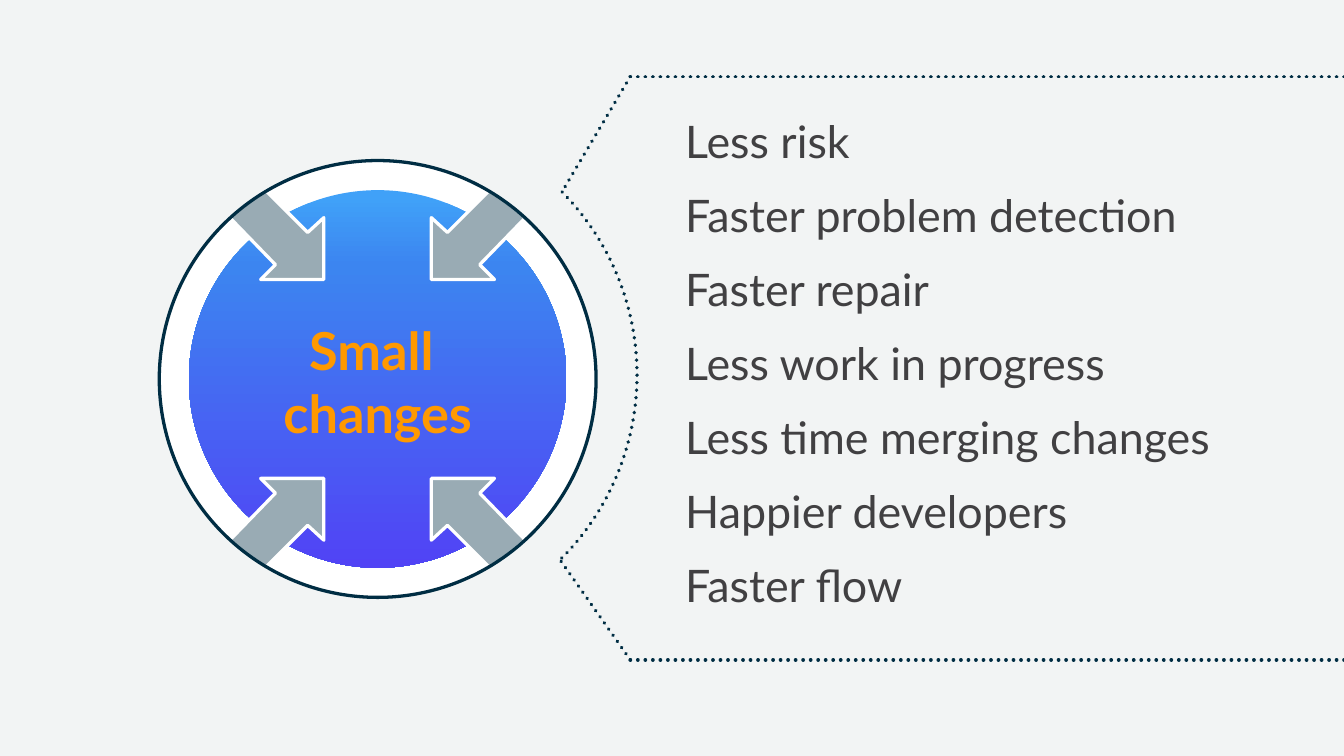
from copy import deepcopy
from math import cos, pi, sin

from pptx import Presentation
from pptx.dml.color import RGBColor
from pptx.enum.dml import MSO_LINE_DASH_STYLE as Dash
from pptx.enum.shapes import MSO_CONNECTOR as Connector, MSO_SHAPE as Shape
from pptx.enum.text import PP_ALIGN as Align
from pptx.oxml.ns import qn
from pptx.util import Inches, Pt

CORE_LABEL = "Small \vchanges"
BENEFITS = [
    "Less risk",
    "Faster problem detection",
    "Faster repair",
    "Less work in progress",
    "Less time merging changes",
    "Happier developers",
    "Faster flow",
]
COLORS = {
    "background": "F2F4F4", "white": "FFFFFF", "navy": "002D43",
    "arrow": "99ABB4", "label": "FF9900", "text": "414042",
}
CORE_GRADIENT = [(0.02, "40A1F8"), (0.2, "3C85F0"), (1, "5143F5")]
FONT = "Lato"

WIDTH = 10
HEIGHT = WIDTH * 9 / 16
CENTER_X, CENTER_Y = 2.81, 2.82
RING_SIZE, CORE_SIZE = 3.25, 2.81
ARC_CENTER_X, ARC_CENTER_Y, ARC_SIZE = 2.8, 2.79, 3.88
ARC_ANGLES = (189.28, 27.16)
ARROW_OUTLINE = [
    (-0.83, -1.4), (-0.52, -1.09), (-0.4, -1.2), (-0.4, -0.74), (-0.87, -0.74),
    (-0.76, -0.85), (-1.1, -1.2), (-1.04, -1.25), (-0.98, -1.3), (-0.91, -1.35),
]
MIRRORS = [(1, 1), (-1, 1), (1, -1), (-1, -1)]
MASK = [(0, 0.11), (5.47, 0.11), (5.47, 5.06), (0, 5.06)]
BRACKET_X, BRACKET_END = 4.69, 10.29
BRACKET_TOP, BRACKET_BOTTOM = 0.57, 4.91
BRACKET_LINES = [
    ((BRACKET_X, BRACKET_TOP), (BRACKET_END, BRACKET_TOP)),
    ((BRACKET_X, BRACKET_BOTTOM), (BRACKET_END, BRACKET_BOTTOM)),
    ((BRACKET_X, BRACKET_BOTTOM), (4.17, 4.17)),
    ((BRACKET_X, BRACKET_TOP), (4.18, 1.43)),
]


def rgb(name):
    return RGBColor.from_string(COLORS[name])


def paint(shape, fill=None, line=None, weight=1.75):
    shape.shadow.inherit = False
    if fill:
        shape.fill.solid()
        shape.fill.fore_color.rgb = rgb(fill)
    else:
        shape.fill.background()
    if line:
        shape.line.color.rgb = rgb(line)
        shape.line.width = Pt(weight)
    else:
        shape.line.fill.background()


def dot(shape):
    shape.line.color.rgb = rgb("navy")
    shape.line.width = Pt(2)
    shape.line.dash_style = Dash.ROUND_DOT
    shape._element.spPr.find(qn("a:ln")).set("cap", "rnd")


def add_round(kind, x, y, size):
    return shapes.add_shape(kind, Inches(x - size / 2), Inches(y - size / 2),
                            Inches(size), Inches(size))


def add_outline(*contours):
    scaled = [[(Inches(x), Inches(y)) for x, y in contour] for contour in contours]
    builder = shapes.build_freeform(*scaled[0][0])
    builder.add_line_segments(scaled[0][1:], close=True)
    for contour in scaled[1:]:
        builder.move_to(*contour[0])
        builder.add_line_segments(contour[1:], close=True)
    return builder.convert_to_shape()


def add_text(x, y, width, height):
    frame = shapes.add_textbox(Inches(x), Inches(y), Inches(width), Inches(height)).text_frame
    frame.word_wrap = True
    return frame


def style_runs(paragraph, size, color, bold=False):
    for run in paragraph.runs:
        run.font.name = FONT
        run.font.size = Pt(size)
        run.font.bold = bold
        run.font.color.rgb = rgb(color)


deck = Presentation()
deck.slide_width, deck.slide_height = Inches(WIDTH), Inches(HEIGHT)
slide = deck.slides.add_slide(deck.slide_layouts[6])
shapes = slide.shapes
slide.background.fill.solid()
slide.background.fill.fore_color.rgb = rgb("background")

paint(add_round(Shape.OVAL, CENTER_X, CENTER_Y, RING_SIZE), "white")

core = add_round(Shape.OVAL, CENTER_X, CENTER_Y, CORE_SIZE)
paint(core)
core.fill.gradient()
core.fill.gradient_angle = 270
stop_list = core.fill._fill._gradFill.find(qn("a:gsLst"))
stop_list.append(deepcopy(stop_list[-1]))
for stop, (position, color) in zip(core.fill.gradient_stops, CORE_GRADIENT):
    stop.position = position
    stop.color.rgb = RGBColor.from_string(color)

label = add_text(CENTER_X - CORE_SIZE / 2, 2.32, CORE_SIZE, 1.21)
label.text = CORE_LABEL
label.paragraphs[0].alignment = Align.CENTER
style_runs(label.paragraphs[0], 28, "label", bold=True)

for flip_x, flip_y in MIRRORS:
    arrow = add_outline([(CENTER_X + flip_x * x, CENTER_Y + flip_y * y)
                         for x, y in ARROW_OUTLINE])
    paint(arrow, "arrow", "white")

STEPS = 120
opening = [(CENTER_X + RING_SIZE / 2 * cos(2 * pi * step / STEPS),
            CENTER_Y - RING_SIZE / 2 * sin(2 * pi * step / STEPS)) for step in range(STEPS)]
paint(add_outline(opening, MASK), "background")

benefits = add_text(WIDTH / 2, 0.8, 4.49, 3.89)
benefits.text = "\n".join(BENEFITS)
for index, benefit in enumerate(benefits.paragraphs):
    benefit.space_before = Pt(4.8 if index else 0)
    benefit.space_after = Pt(6)
    style_runs(benefit, 24, "text")

arc = add_round(Shape.ARC, ARC_CENTER_X, ARC_CENTER_Y, ARC_SIZE)
arc.adjustments[0], arc.adjustments[1] = ARC_ANGLES
paint(arc)
dot(arc)

for start, end in BRACKET_LINES:
    bracket = shapes.add_connector(Connector.STRAIGHT, *map(Inches, start + end))
    dot(bracket)
    properties = bracket._element.spPr
    properties.append(properties.makeelement(qn("a:effectLst"), {}))

paint(add_round(Shape.OVAL, CENTER_X, CENTER_Y, RING_SIZE), line="navy")

deck.save("out.pptx")
